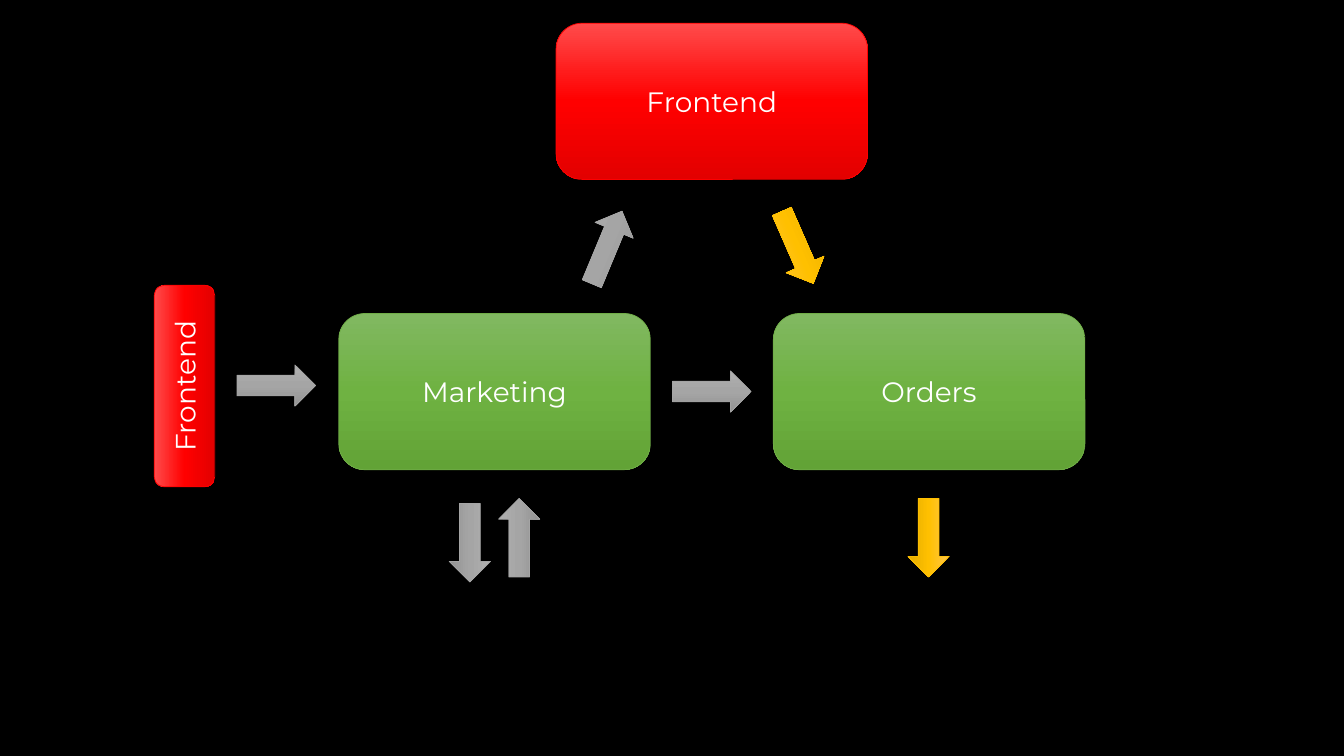
"""Build a slide showing how frontends, marketing and orders pass work along."""
from copy import deepcopy
from pptx import Presentation
from pptx.dml.color import RGBColor
from pptx.enum.shapes import MSO_SHAPE as Shape
from pptx.enum.text import MSO_ANCHOR as Anchor, PP_ALIGN as Align
from pptx.util import Inches, Pt

THEME = {
    "font": "Montserrat",
    "size": 20,
    "line_width": 0.5,
    "background": "000000",
    "text": "FFFFFF",
    "red": {"stops": ("FF4B4B", "FF0000", "E30000"), "line": "FF0000"},
    "green": {"stops": ("81B861", "6FB242", "62A336"), "line": "70AD47"},
    "gray": {"stops": ("AFAFAF", "A5A5A5", "939393"), "line": "A5A5A5"},
    "gold": {"stops": ("FFC64B", "FFC000", "E3AB00"), "line": "FFC000"},
}

BOX_SIZE = (3.09, 1.55)
SIDE_BOX_SIZE = (2, 0.6)
ARROW_SIZE = (0.78, 0.41)
SERVICE_LEFT, SERVICE_TOP, SERVICE_PITCH = 3.36, 3.11, 4.31

BOXES = [
    ("Frontend", "red", (SERVICE_LEFT + SERVICE_PITCH / 2, 0.23), BOX_SIZE, 0),
    ("Marketing", "green", (SERVICE_LEFT, SERVICE_TOP), BOX_SIZE, 0),
    ("Orders", "green", (SERVICE_LEFT + SERVICE_PITCH, SERVICE_TOP), BOX_SIZE, 0),
    ("Frontend", "red", (0.83, 3.53), SIDE_BOX_SIZE, 270),
]

ARROWS = [
    ("gray", (2.35, 3.62), 0, False),
    ("gray", (6.67, 3.68), 0, False),
    ("gray", (4.27, 5.18), 90, False),
    ("gray", (4.76, 5.13), 270, False),
    ("gray", (5.63, 2.25), 292.6, False),
    ("gold", (7.52, 2.25), 246.4, True),
    ("gold", (8.82, 5.13), 90, False),
]


def add_gradient_shape(slide, kind, color, position, size, rotation):
    shape = slide.shapes.add_shape(kind, *map(Inches, position + size))
    shape.rotation = rotation
    shape.shadow.inherit = False
    palette = THEME[color]
    shape.fill.gradient()
    shape.fill.gradient_angle = 270
    stop_list = shape.element.spPr.gradFill.gsLst
    stop_list.append(deepcopy(stop_list[-1]))
    for index, stop in enumerate(shape.fill.gradient_stops):
        stop.position = index / 2
        stop.color.rgb = RGBColor.from_string(palette["stops"][index])
    shape.line.color.rgb = RGBColor.from_string(palette["line"])
    shape.line.width = Pt(THEME["line_width"])
    return shape


def add_label(shape, text):
    frame = shape.text_frame
    frame.word_wrap = True
    frame.vertical_anchor = Anchor.MIDDLE
    paragraph = frame.paragraphs[0]
    paragraph.alignment = Align.CENTER
    run = paragraph.add_run()
    run.text = text
    run.font.name = THEME["font"]
    run.font.size = Pt(THEME["size"])
    run.font.color.rgb = RGBColor.from_string(THEME["text"])


presentation = Presentation()
presentation.slide_width, presentation.slide_height = Inches(13.33), Inches(7.5)
slide = presentation.slides.add_slide(presentation.slide_layouts[6])
slide.background.fill.solid()
slide.background.fill.fore_color.rgb = RGBColor.from_string(THEME["background"])

for text, color, position, size, rotation in BOXES:
    box = add_gradient_shape(slide, Shape.ROUNDED_RECTANGLE, color, position, size, rotation)
    add_label(box, text)

for color, position, rotation, flipped in ARROWS:
    arrow = add_gradient_shape(slide, Shape.RIGHT_ARROW, color, position, ARROW_SIZE, rotation)
    if flipped:
        arrow.element.spPr.xfrm.set("flipH", "1")

presentation.save("out.pptx")
